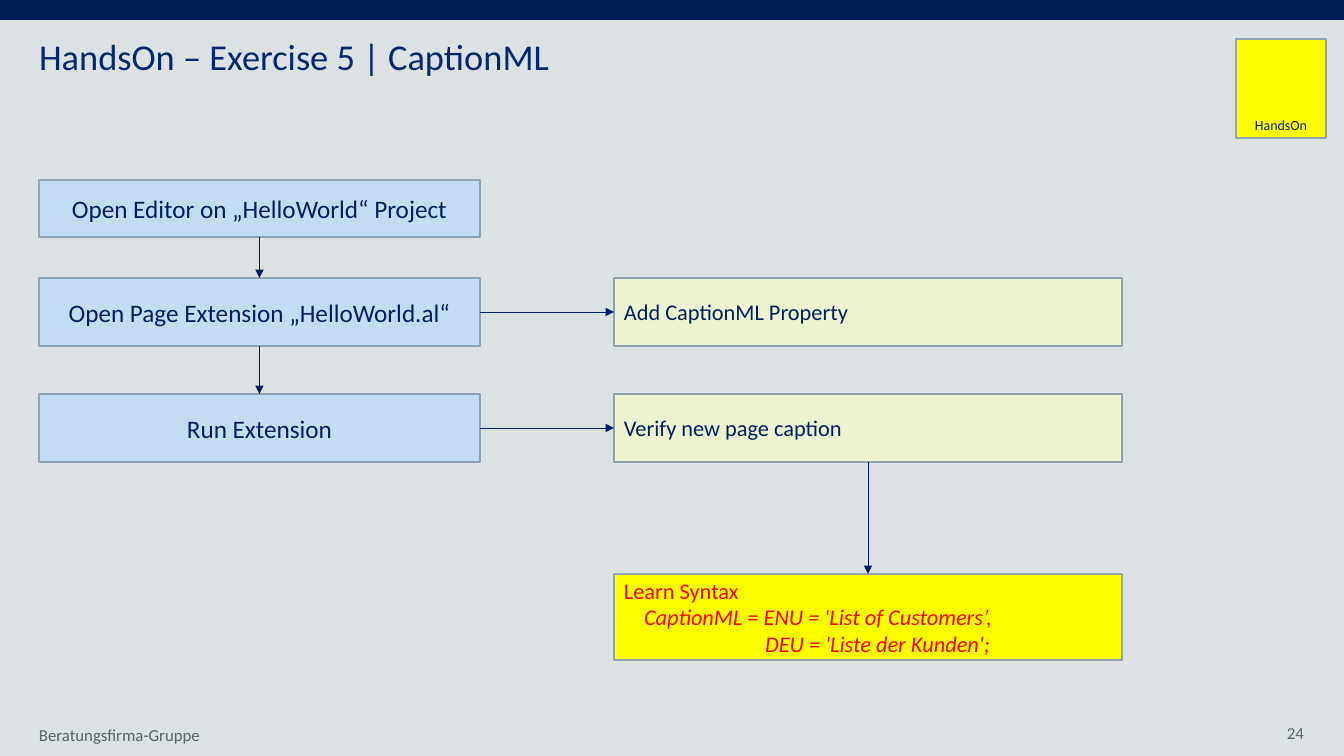
from pptx import Presentation
from pptx.dml.color import RGBColor
from pptx.enum.shapes import MSO_CONNECTOR, MSO_SHAPE
from pptx.enum.text import MSO_ANCHOR, MSO_AUTO_SIZE, PP_ALIGN
from pptx.oxml.ns import qn
from pptx.util import Emu, Pt
from lxml.etree import SubElement

EMU_PER_PX = 914400 / 100.8
NAVY, TITLE_BLUE, GREY, RED = "002060", "04276E", "57666D", "FF0000"
BLUE, GREEN, YELLOW, BORDER = "C4DCF1", "EDF2D0", "FFFF00", "91A3B2"
TOP, LEFT, BOTTOM, RIGHT = range(4)
STEP_LEFT, STEP_WIDTH = 39, 441
TASK_LEFT, TASK_WIDTH = 614, 508
NO_MARGINS = dict.fromkeys(
    ("margin_left", "margin_top", "margin_right", "margin_bottom"), 0)


def px(length):
    """Turn pixels into EMU."""
    return Emu(round(length * EMU_PER_PX))


def paint(color_format, color):
    """Set a hex colour on a fill, line or font colour."""
    color_format.rgb = RGBColor.from_string(color)


def apply(target, values):
    """Set each named attribute on the target."""
    for name, value in values.items():
        setattr(target, name, value)


def write(frame, lines, size, color, align=PP_ALIGN.LEFT, **frame_format):
    """Write (text, italic) lines into a text frame."""
    apply(frame, {"word_wrap": True, "auto_size": MSO_AUTO_SIZE.NONE,
                  "vertical_anchor": MSO_ANCHOR.MIDDLE, **frame_format})
    for index, (text, italic) in enumerate(lines):
        paragraph = frame.add_paragraph() if index else frame.paragraphs[0]
        paragraph.alignment = align
        run = paragraph.add_run()
        run.text = text
        apply(run.font, {"name": "Calibri", "size": Pt(size),
                         "bold": False, "italic": italic})
        paint(run.font.color, color)


def add_box(slide, bounds, fill, border=None):
    """Add a filled rectangle with an optional border."""
    box = slide.shapes.add_shape(MSO_SHAPE.RECTANGLE, *map(px, bounds))
    box.shadow.inherit = False
    box.fill.solid()
    paint(box.fill.fore_color, fill)
    if border:
        paint(box.line.color, border)
        box.line.width = Pt(1)
    else:
        box.line.fill.background()
    return box


def add_step(slide, text, top, height):
    """Add a centred step of the main flow."""
    step = add_box(slide, (STEP_LEFT, top, STEP_WIDTH, height), BLUE, BORDER)
    write(step.text_frame, [(text, False)], 18, NAVY, PP_ALIGN.CENTER)
    return step


def add_task(slide, lines, top, height, fill=GREEN, color=NAVY):
    """Add a left-aligned task beside the main flow."""
    task = add_box(slide, (TASK_LEFT, top, TASK_WIDTH, height), fill, BORDER)
    write(task.text_frame, lines, 16, color)
    return task


def add_arrow(slide, start, start_side, end, end_side):
    """Connect two boxes with an arrow."""
    arrow = slide.shapes.add_connector(MSO_CONNECTOR.STRAIGHT, 0, 0, 0, 0)
    arrow.begin_connect(start, start_side)
    arrow.end_connect(end, end_side)
    paint(arrow.line.color, NAVY)
    arrow.line.width = Pt(0.5)
    properties = arrow.line._get_or_add_ln()
    SubElement(properties, qn("a:tailEnd"), type="triangle")
    SubElement(properties.getparent(), qn("a:effectLst"))


def add_footer(slide, text, bounds, align):
    """Add a footer text."""
    footer = slide.shapes.add_textbox(*map(px, bounds))
    write(footer.text_frame, [(text, False)], 12, GREY, align, **NO_MARGINS)


def add_title(slide, text):
    """Place and format the title."""
    title = slide.shapes.title
    apply(title, {"left": px(39), "top": px(39),
                  "width": px(1264), "height": px(80)})
    write(title.text_frame, [(text, False)], 26, TITLE_BLUE,
          vertical_anchor=MSO_ANCHOR.TOP, **NO_MARGINS)
    title.text_frame.paragraphs[0].line_spacing = 0.9


def main():
    """Build and save the exercise slide."""
    deck = Presentation()
    apply(deck, {"slide_width": px(1344), "slide_height": px(756)})
    slide = deck.slides.add_slide(deck.slide_layouts[5])
    slide.background.fill.solid()
    paint(slide.background.fill.fore_color, "DCE1E3")

    add_box(slide, (0, 0, 1344, 20), "031D52")
    add_title(slide, "HandsOn – Exercise 5 | CaptionML")
    badge = add_box(slide, (1236, 39, 90, 99), YELLOW, BORDER)
    write(badge.text_frame, [("HandsOn", False)], 10, TITLE_BLUE,
          PP_ALIGN.CENTER, vertical_anchor=MSO_ANCHOR.BOTTOM)

    open_project = add_step(slide, "Open Editor on „HelloWorld“ Project", 180, 57)
    open_page = add_step(slide, "Open Page Extension „HelloWorld.al“", 278, 68)
    run_extension = add_step(slide, "Run Extension", 394, 68)
    add_caption = add_task(slide, [("Add CaptionML Property", False)], 278, 68)
    verify_caption = add_task(slide, [("Verify new page caption", False)], 394, 68)
    learn_syntax = add_task(slide, [
        ("Learn Syntax", False),
        ("    CaptionML = ENU = 'List of Customers’,", True),
        ("                            DEU = 'Liste der Kunden';", True),
    ], 574, 86, YELLOW, RED)

    for start, end in ((open_project, open_page), (open_page, run_extension),
                       (verify_caption, learn_syntax)):
        add_arrow(slide, start, BOTTOM, end, TOP)
    for step, task in ((open_page, add_caption), (run_extension, verify_caption)):
        add_arrow(slide, step, RIGHT, task, LEFT)

    add_footer(slide, "Beratungsfirma-Gruppe", (39, 715, 302, 40), PP_ALIGN.LEFT)
    add_footer(slide, "24", (1026, 713, 278, 40), PP_ALIGN.RIGHT)
    deck.save("out.pptx")


if __name__ == "__main__":
    main()
